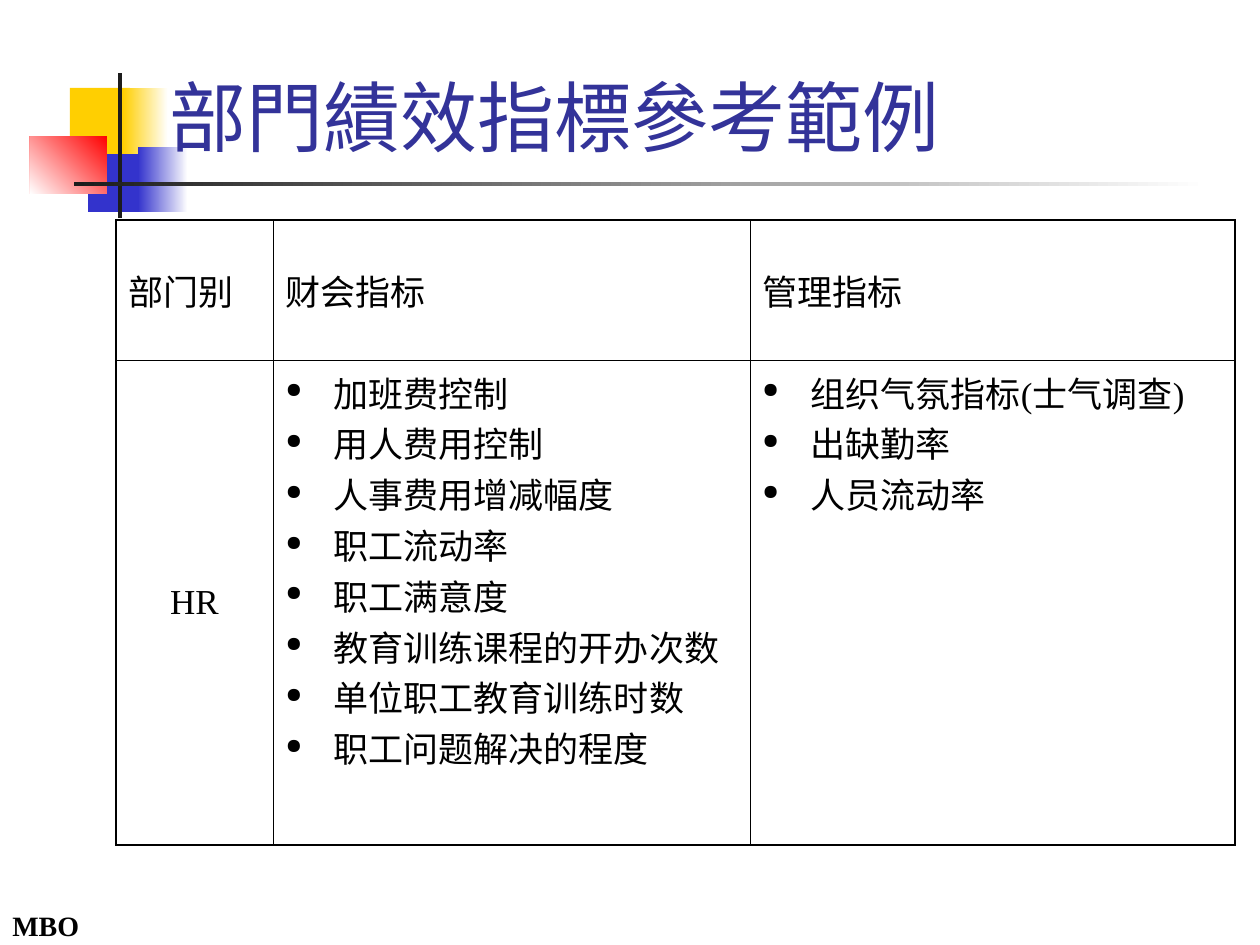
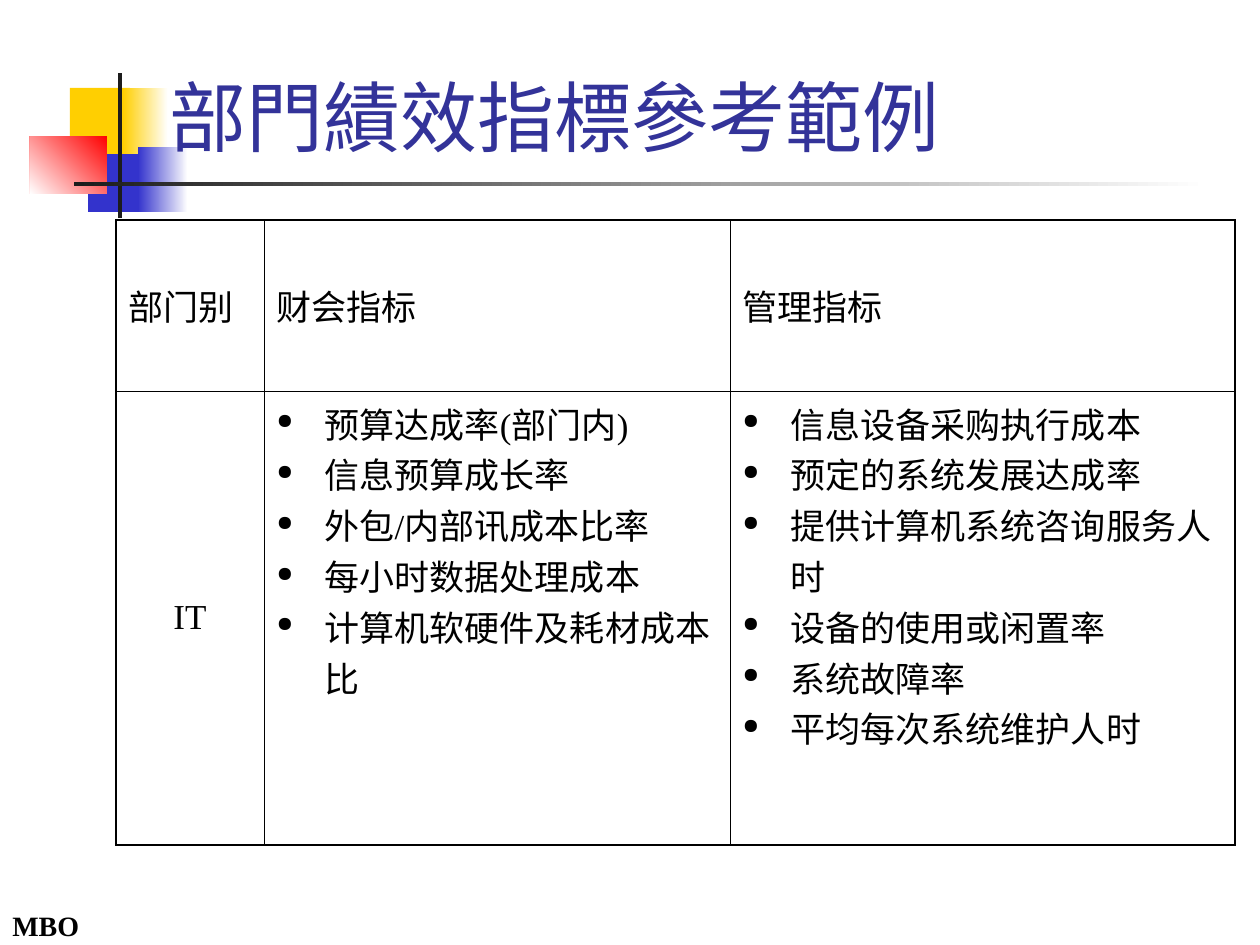
from lxml.etree import SubElement, Element
from pptx import Presentation
from pptx.dml.color import RGBColor
from pptx.enum.shapes import MSO_SHAPE
from pptx.enum.text import MSO_ANCHOR, PP_ALIGN
from pptx.oxml.ns import qn
from pptx.util import Pt

SCALE = 914400 / 126  # EMU per px

COLORS = {
    "blue": "3333CC",
    "yellow": "FFCF01",
    "red": "FF0000",
    "white": "FFFFFF",
    "ink": "1C1C1C",
    "title": "333399",
    "text": "000000",
}

# Text styles shared by both slides
TITLE_FONT = {"name": "Karla", "size": Pt(44), "bold": False}
FOOTER_FONT = {"name": "Times New Roman", "size": Pt(16), "bold": True}
TABLE_FONT = {"name": "Times New Roman", "size": Pt(20), "bold": False}

# Ornament: left, top, width, height, colour stops, gradient angle
ORNAMENT = [
    (88, 147, 57, 65, ["blue"], None),
    (70, 88, 60, 66, ["yellow"], None),
    (123, 88, 45, 66, ["white", "yellow"], 180),
    (138, 147, 50, 65, ["white", "blue"], 180),
    (30, 136, 77, 58, ["red", "white"], 225),
    (118, 73, 4, 145, ["ink"], None),
    (74, 182, 1134, 4, ["white", "ink"], 180),
]

# Text boxes: text, left, top, width, height, font, colour, anchor, space before
LABELS = [
    ("MBO", 0, 902, 174, 47, FOOTER_FONT, "text", MSO_ANCHOR.TOP, 10),
    ("部門績效指標參考範例", 157, 42, 1074, 126, TITLE_FONT, "title", MSO_ANCHOR.BOTTOM, 0),
]

TABLE_LEFT, TABLE_TOP, HANGING = 116, 220, 48
OUTER_LINE, INNER_LINE = Pt(0.96), Pt(0.45)
HEADINGS = ["部门别", "财会指标", "管理指标"]

DEPARTMENTS = [
    {
        "name": "HR",
        "columns": [157, 477, 485],
        "rows": [140, 485],
        "finance": [
            "加班费控制", "用人费用控制", "人事费用增减幅度", "职工流动率", "职工满意度",
            "教育训练课程的开办次数", "单位职工教育训练时数", "职工问题解决的程度",
        ],
        "management": ["组织气氛指标(士气调查)", "出缺勤率", "人员流动率"],
    },
    {
        "name": "IT",
        "columns": [148, 466, 505],
        "rows": [171, 454],
        "finance": [
            "预算达成率(部门内)", "信息预算成长率", "外包/内部讯成本比率",
            "每小时数据处理成本", "计算机软硬件及耗材成本比",
        ],
        "management": [
            "信息设备采购执行成本", "预定的系统发展达成率", "提供计算机系统咨询服务人时",
            "设备的使用或闲置率", "系统故障率", "平均每次系统维护人时",
        ],
    },
]


def px(*lengths):
    return [round(length * SCALE) for length in lengths]


def write_line(para, text, font, color):
    span = para.add_run()
    span.text = text
    for name, value in font.items():
        setattr(span.font, name, value)
    span.font.color.rgb = RGBColor.from_string(COLORS[color])


deck = Presentation()
deck.slide_width, deck.slide_height = px(1260, 945)

for department in DEPARTMENTS:
    page = deck.slides.add_slide(deck.slide_layouts[6])

    # Coloured squares and rules
    for left, top, width, height, stops, angle in ORNAMENT:
        shape = page.shapes.add_shape(MSO_SHAPE.RECTANGLE, *px(left, top, width, height))
        shape.shadow.inherit = False
        shape.line.fill.background()
        if angle is None:
            shape.fill.solid()
            shape.fill.fore_color.rgb = RGBColor.from_string(COLORS[stops[0]])
        else:
            shape.fill.gradient()
            shape.fill.gradient_angle = angle
            for position, stop in enumerate(shape.fill.gradient_stops):
                stop.position = position
                stop.color.rgb = RGBColor.from_string(COLORS[stops[position]])

    # Footer and title
    for text, left, top, width, height, font, color, anchor, space in LABELS:
        box = page.shapes.add_textbox(*px(left, top, width, height))
        frame = box.text_frame
        frame.word_wrap = True
        frame.vertical_anchor = anchor
        frame.paragraphs[0].space_before = Pt(space)
        write_line(frame.paragraphs[0], text, font, color)

    # Indicator table
    columns, rows = department["columns"], department["rows"]
    area = px(TABLE_LEFT, TABLE_TOP, sum(columns), sum(rows))
    table = page.shapes.add_table(len(rows), len(columns), *area).table
    table.first_row = table.horz_banding = False
    for column, width in zip(table.columns, px(*columns)):
        column.width = width
    for row, height in zip(table.rows, px(*rows)):
        row.height = height

    contents = [
        [[heading] for heading in HEADINGS],
        [[department["name"]], department["finance"], department["management"]],
    ]
    for r, row_contents in enumerate(contents):
        for c, lines in enumerate(row_contents):
            cell = table.cell(r, c)
            bulleted = r == 1 and c > 0
            cell.vertical_anchor = MSO_ANCHOR.TOP if bulleted else MSO_ANCHOR.MIDDLE
            cell.fill.background()

            # Hanging paragraphs, bulleted in the indicator lists
            for i, text in enumerate(lines):
                frame = cell.text_frame
                para = frame.add_paragraph() if i else frame.paragraphs[0]
                para.alignment = PP_ALIGN.CENTER if (r, c) == (1, 0) else PP_ALIGN.LEFT
                properties = para._p.get_or_add_pPr()
                properties.set("marL", str(px(HANGING)[0]))
                properties.set("indent", str(px(-HANGING)[0]))
                if bulleted:
                    bullet_color = SubElement(properties, qn("a:buClr"))
                    SubElement(bullet_color, qn("a:srgbClr"), val=COLORS["text"])
                    SubElement(properties, qn("a:buSzPct"), val="60000")
                    SubElement(properties, qn("a:buChar"), char="●")
                write_line(para, text, TABLE_FONT, "text")

            # Heavier lines around the table, fine lines inside
            edges = {"L": c == 0, "R": c == len(columns) - 1, "T": r == 0, "B": r == len(rows) - 1}
            for order, (side, outer) in enumerate(edges.items()):
                line = Element(qn(f"a:ln{side}"), w=str(OUTER_LINE if outer else INNER_LINE))
                fill = SubElement(line, qn("a:solidFill"))
                SubElement(fill, qn("a:srgbClr"), val=COLORS["text"])
                cell._tc.get_or_add_tcPr().insert(order, line)

deck.save("out.pptx")
